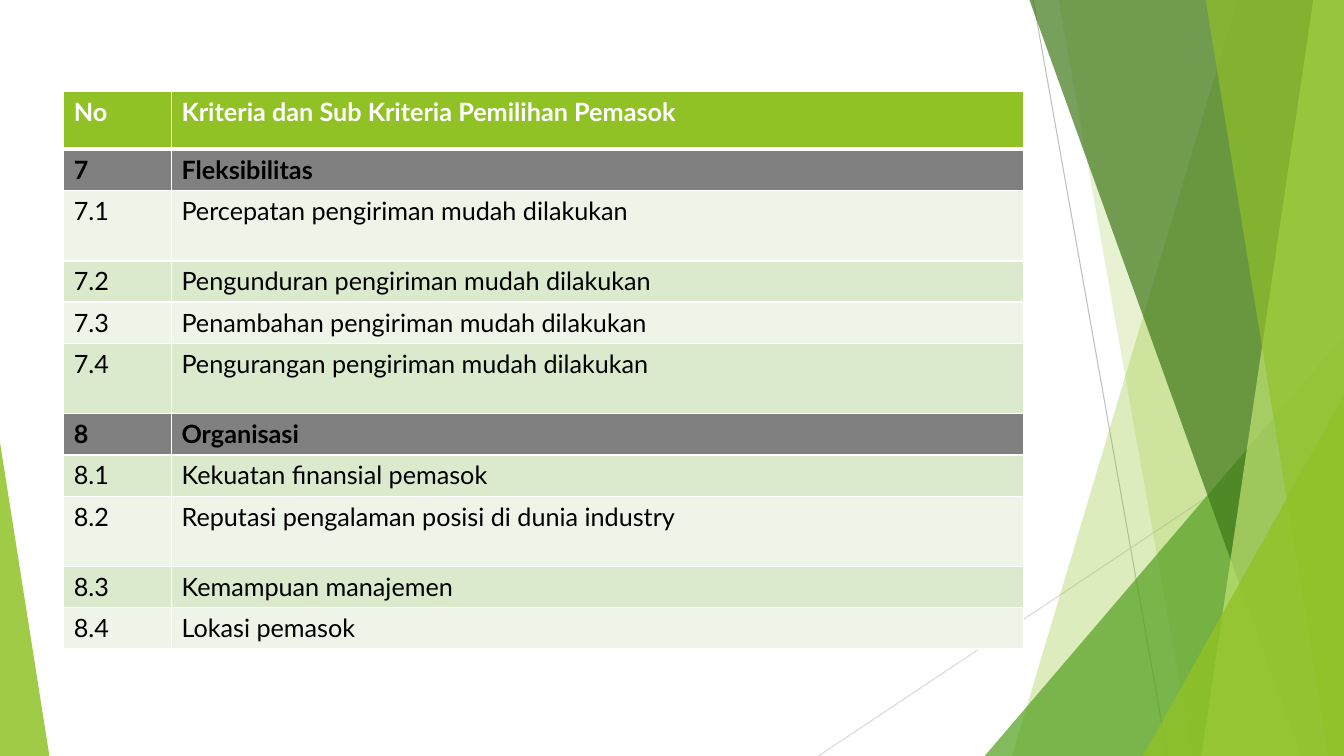
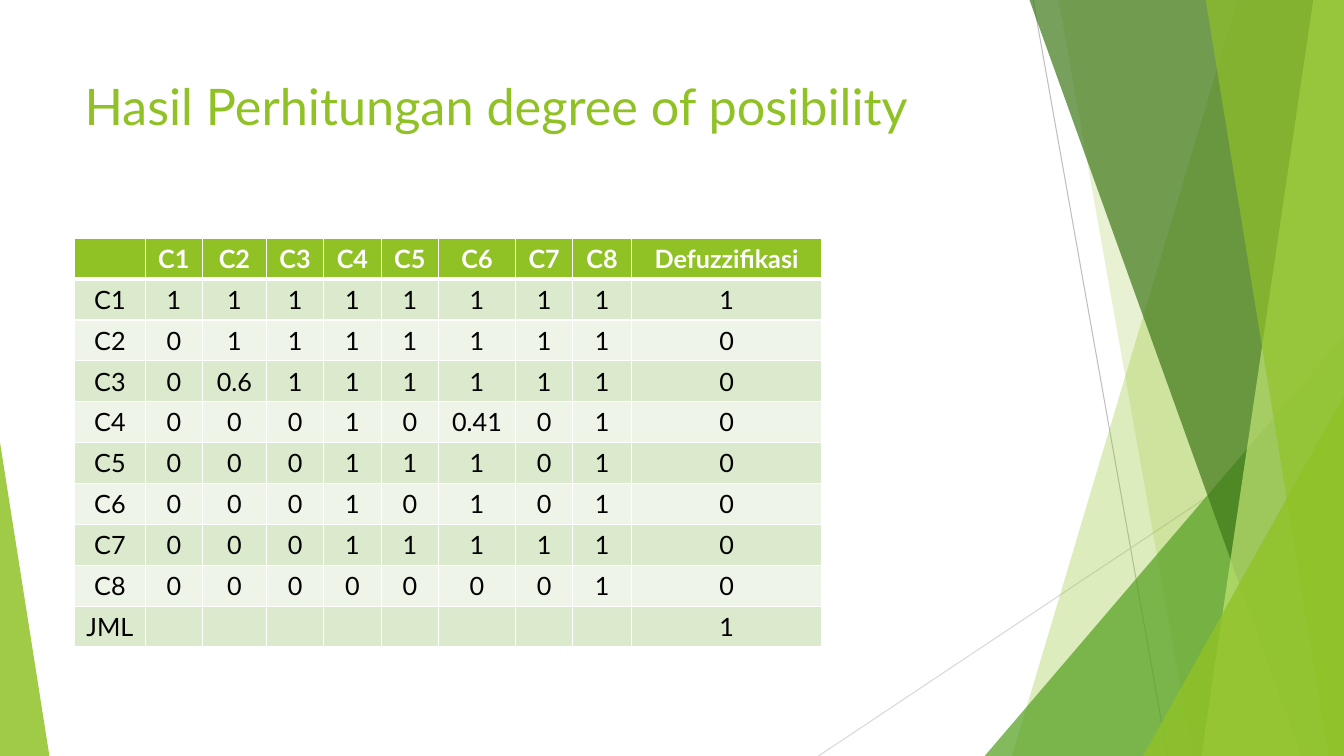
from dataclasses import dataclass
from typing import NamedTuple

from lxml.etree import SubElement
from pptx import Presentation
from pptx.dml.color import RGBColor
from pptx.enum.shapes import MSO_CONNECTOR, MSO_SHAPE
from pptx.enum.text import MSO_ANCHOR as Anchor, PP_ALIGN as Align
from pptx.oxml.ns import qn
from pptx.util import Pt

FONT = "Lato"
WHITE = RGBColor(0xFF, 0xFF, 0xFF)
BLACK = RGBColor(0x00, 0x00, 0x00)
LIME = RGBColor(0x90, 0xC2, 0x26)
PALE_LIME = RGBColor(0xC0, 0xE4, 0x74)
GREEN = RGBColor(0x54, 0xA0, 0x21)
DARK_GREEN = RGBColor(0x3F, 0x78, 0x19)
SECTION_GRAY = RGBColor(0x80, 0x80, 0x80)
BAND_DARK = RGBColor(0xDB, 0xE9, 0xCD)
BAND_LIGHT = RGBColor(0xEE, 0xF4, 0xE8)
RAY_GRAY = RGBColor(0xBF, 0xBF, 0xBF)
RAY_LIGHT = RGBColor(0xD9, 0xD9, 0xD9)

SLIDE_W, SLIDE_H = 960, 540
BLEED = 0.7


class Ray(NamedTuple):
    start: tuple[float, float]
    end: tuple[float, float]
    color: RGBColor


class Blade(NamedTuple):
    """A facet between a slanted left edge and the right slide edge."""
    top_x: float
    bottom_x: float
    color: RGBColor
    opacity: int


class Corner(NamedTuple):
    """A right triangle standing on the bottom slide edge."""
    left: float
    width: float
    height: float
    apex: int
    color: RGBColor
    opacity: int


RAYS = [
    Ray((738, 0), (834, SLIDE_H), RAY_GRAY),
    Ray((SLIDE_W, 290), (584.6, SLIDE_H), RAY_LIGHT),
]
FACETS = [
    Blade(884.2, 722.9, LIME, 30),
    Blade(756, 851.8, LIME, 20),
    Corner(703.4, 256.6, 300.2, 1, GREEN, 72),
    Blade(735.1, 929.5, DARK_GREEN, 70),
    Blade(938.2, 858.2, PALE_LIME, 70),
    Blade(861.1, 949, LIME, 65),
    Corner(816.5, 143.5, 257, 1, LIME, 80),
    Corner(0, 35.3, 224, 0, LIME, 85),
]


@dataclass
class TableLayout:
    left: float
    top: float
    columns: list[float]
    heights: list[float]
    rows: list[list[str]]
    align: Align = Align.LEFT
    anchor: Anchor = Anchor.TOP
    sections: tuple[int, ...] = ()


ROW, TALL_ROW = 29.4, 50.4
CRITERIA = TableLayout(
    left=45.5, top=65.6, columns=[77, 608.6],
    heights=[41, ROW, TALL_ROW, ROW, ROW, TALL_ROW,
             ROW, ROW, TALL_ROW, ROW, ROW],
    rows=[
        ["No", "Kriteria dan Sub Kriteria Pemilihan Pemasok"],
        ["7", "Fleksibilitas"],
        ["7.1", "Percepatan pengiriman mudah dilakukan"],
        ["7.2", "Pengunduran pengiriman mudah dilakukan"],
        ["7.3", "Penambahan pengiriman mudah dilakukan"],
        ["7.4", "Pengurangan pengiriman mudah dilakukan"],
        ["8", "Organisasi"],
        ["8.1", "Kekuatan finansial pemasok"],
        ["8.2", "Reputasi pengalaman posisi di dunia industry"],
        ["8.3", "Kemampuan manajemen"],
        ["8.4", "Lokasi pemasok"],
    ],
    sections=(1, 6),
)
POSSIBILITY = TableLayout(
    left=53.3, top=170.2,
    columns=[50.4, 41, 45.6, 41, 41, 41, 55, 41, 41.8, 136],
    heights=[29.2] * 10,
    rows=[
        ["", *(f"C{n}" for n in range(1, 9)), "Defuzzifikasi"],
        *(line.split() for line in (
            "C1 1 1 1 1 1 1 1 1 1",
            "C2 0 1 1 1 1 1 1 1 0",
            "C3 0 0.6 1 1 1 1 1 1 0",
            "C4 0 0 0 1 0 0.41 0 1 0",
            "C5 0 0 0 1 1 1 0 1 0",
            "C6 0 0 0 1 0 1 0 1 0",
            "C7 0 0 0 1 1 1 1 1 0",
            "C8 0 0 0 0 0 0 0 1 0",
        )),
        ["JML", *[""] * 8, "1"],
    ],
    align=Align.CENTER, anchor=Anchor.MIDDLE,
)


def write(frame, text: str, *, size: float = 18, color: RGBColor = BLACK,
          bold: bool = False, align: Align = Align.LEFT) -> None:
    paragraph = frame.paragraphs[0]
    paragraph.alignment = align
    run = paragraph.add_run()
    run.text = text
    run.font.name = FONT
    run.font.size = Pt(size)
    run.font.bold = bold
    run.font.color.rgb = color


def paint(shape, color: RGBColor, opacity: int) -> None:
    """Give a facet a see-through fill with neither line nor shadow."""
    shape.shadow.inherit = False
    shape.line.fill.background()
    shape.fill.solid()
    shape.fill.fore_color.rgb = color
    srgb = shape.element.spPr.find(qn("a:solidFill")).find(qn("a:srgbClr"))
    SubElement(srgb, qn("a:alpha"), val=str(opacity * 1000))


def draw_ray(slide, ray: Ray) -> None:
    line = slide.shapes.add_connector(
        MSO_CONNECTOR.STRAIGHT, *map(Pt, ray.start + ray.end))
    line.line.color.rgb = ray.color
    line.line.width = Pt(0.75)
    SubElement(line.element.spPr, qn("a:effectLst"))


def draw_blade(slide, blade: Blade) -> None:
    outline = slide.shapes.build_freeform(Pt(blade.top_x), Pt(-BLEED))
    outline.add_line_segments([
        (Pt(SLIDE_W), Pt(-BLEED)),
        (Pt(SLIDE_W), Pt(SLIDE_H)),
        (Pt(blade.bottom_x), Pt(SLIDE_H)),
    ], close=True)
    paint(outline.convert_to_shape(), blade.color, blade.opacity)


def draw_corner(slide, corner: Corner) -> None:
    triangle = slide.shapes.add_shape(
        MSO_SHAPE.ISOSCELES_TRIANGLE, Pt(corner.left),
        Pt(SLIDE_H - corner.height), Pt(corner.width), Pt(corner.height))
    triangle.adjustments[0] = corner.apex
    paint(triangle, corner.color, corner.opacity)


def add_faceted_slide(deck):
    slide = deck.slides.add_slide(deck.slide_layouts[6])
    for ray in RAYS:
        draw_ray(slide, ray)
    for facet in FACETS:
        if isinstance(facet, Blade):
            draw_blade(slide, facet)
        else:
            draw_corner(slide, facet)
    return slide


def add_title(slide, text: str) -> None:
    title = slide.shapes.add_textbox(Pt(53.3), Pt(50.4), Pt(677), Pt(103.7))
    title.text_frame.word_wrap = True
    write(title.text_frame, text, size=36, color=LIME)


def set_borders(cell, top: float, bottom: float) -> None:
    """Draw white cell borders; must run before the cell is filled."""
    properties = cell._tc.get_or_add_tcPr()
    for side, width in (("L", 1), ("R", 1), ("T", top), ("B", bottom)):
        border = SubElement(properties, qn(f"a:ln{side}"), w=str(Pt(width)))
        fill = SubElement(border, qn("a:solidFill"))
        SubElement(fill, qn("a:srgbClr"), val=str(WHITE))


def row_fill(layout: TableLayout, index: int) -> RGBColor:
    if index == 0:
        return LIME
    if index in layout.sections:
        return SECTION_GRAY
    return BAND_DARK if index % 2 else BAND_LIGHT


def draw_table(slide, layout: TableLayout) -> None:
    table = slide.shapes.add_table(
        len(layout.rows), len(layout.columns), Pt(layout.left), Pt(layout.top),
        Pt(sum(layout.columns)), Pt(sum(layout.heights))).table
    for column, width in zip(table.columns, layout.columns):
        column.width = Pt(width)
    for index, texts in enumerate(layout.rows):
        table.rows[index].height = Pt(layout.heights[index])
        header = index == 0
        for cell, text in zip(table.rows[index].cells, texts):
            set_borders(cell, top=3 if index == 1 else 1,
                        bottom=3 if header else 1)
            cell.fill.solid()
            cell.fill.fore_color.rgb = row_fill(layout, index)
            cell.vertical_anchor = layout.anchor
            write(cell.text_frame, text, align=layout.align,
                  color=WHITE if header else BLACK,
                  bold=header or index in layout.sections)


def main() -> None:
    deck = Presentation()
    deck.slide_width, deck.slide_height = Pt(SLIDE_W), Pt(SLIDE_H)

    draw_table(add_faceted_slide(deck), CRITERIA)

    possibility_slide = add_faceted_slide(deck)
    add_title(possibility_slide, "Hasil Perhitungan degree of posibility")
    draw_table(possibility_slide, POSSIBILITY)

    deck.save("out.pptx")


if __name__ == "__main__":
    main()
